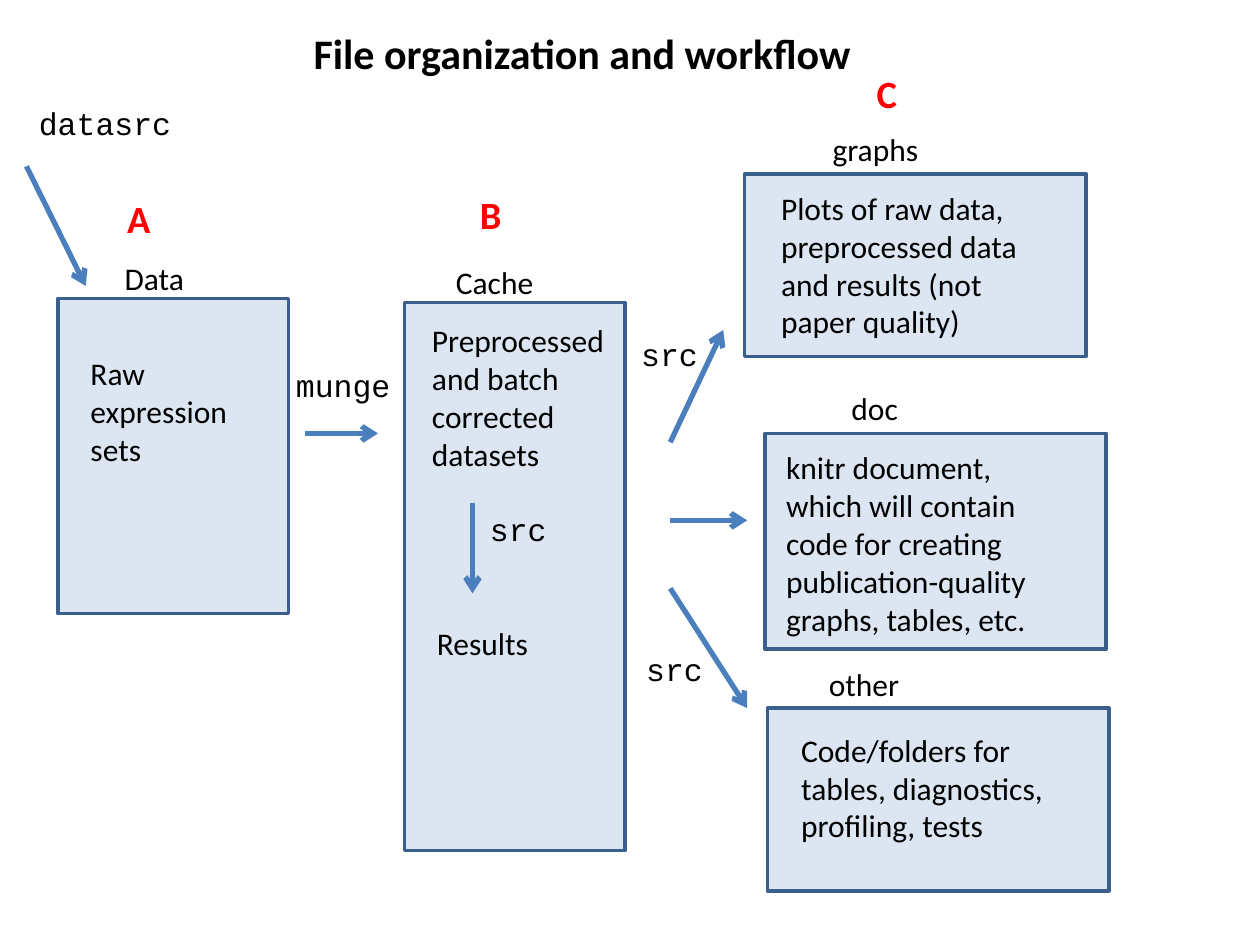
from dataclasses import dataclass
from typing import NamedTuple

from lxml import etree
from pptx import Presentation
from pptx import util as u
from pptx.dml.color import RGBColor
from pptx.enum import shapes, text
from pptx.oxml import ns


@dataclass(frozen=True)
class Theme:
    ink: RGBColor = RGBColor(0x00, 0x00, 0x00)
    marker: RGBColor = RGBColor(0xFF, 0x00, 0x00)
    folder_fill: RGBColor = RGBColor(0xDC, 0xE6, 0xF2)
    folder_edge: RGBColor = RGBColor(0x3A, 0x5F, 0x8C)
    arrow: RGBColor = RGBColor(0x4B, 0x7E, 0xBC)
    prose: str = "Calibri"
    code: str = "Courier New"
    body_size: int = 18
    marker_size: int = 22
    title_size: int = 24
    edge_width: int = 2
    arrow_width: int = 3


class Label(NamedTuple):
    words: str
    left: float
    top: float
    width: float = 1.5
    height: float = 0.4


class Folder(NamedTuple):
    left: float
    top: float
    width: float
    height: float
    name: Label
    contents: tuple[Label, ...]


class Flow(NamedTuple):
    x1: float
    y1: float
    x2: float
    y2: float


THEME = Theme()

FOLDERS = (
    Folder(0.46, 2.37, 1.83, 2.5, Label("Data", 0.89, 2.01),
           (Label("Raw expression sets", 0.62, 2.76, 1.5, 1.01),)),
    Folder(3.21, 2.4, 1.75, 4.35, Label("Cache", 3.52, 2.04),
           (Label("Preprocessed and batch corrected datasets", 3.33, 2.5, 1.62, 1.31),
            Label("Results", 3.37, 4.9))),
    Folder(5.91, 1.38, 2.71, 1.45, Label("graphs", 6.51, 0.98),
           (Label("Plots of raw data, preprocessed data and results (not paper quality)",
                  6.1, 1.45, 2.31, 1.31),)),
    Folder(6.07, 3.44, 2.71, 1.71, Label("doc", 6.66, 3.04),
           (Label("knitr document, which will contain code for creating "
                  "publication-quality graphs, tables, etc.", 6.14, 3.51, 2.31, 1.62),)),
    Folder(6.09, 5.62, 2.71, 1.45, Label("other", 6.48, 5.23),
           (Label("Code/folders for tables, diagnostics, profiling, tests",
                  6.26, 5.75, 2.31, 1.01),)),
)

FLOWS = (
    Flow(0.21, 1.32, 0.68, 2.27),
    Flow(2.42, 3.44, 3, 3.44),
    Flow(3.75, 3.99, 3.75, 4.71),
    Flow(5.32, 3.51, 5.74, 2.62),
    Flow(5.32, 4.13, 5.93, 4.13),
    Flow(5.32, 4.67, 5.93, 5.62),
)

SCRIPTS = (
    Label("datasrc", 0.21, 0.78, 1.91),
    Label("munge", 2.25, 2.86),
    Label("src", 3.79, 4),
    Label("src", 4.99, 2.61),
    Label("src", 5.03, 5.11),
)

STAGES = (
    Label("A", 0.91, 1.5, 0.75, 0.47),
    Label("B", 3.71, 1.47, 0.75, 0.47),
    Label("C", 6.86, 0.51, 0.75, 0.47),
)

TITLE = Label("File organization and workflow", 1.08, 0.17, 7.08, 0.5)


def write(slide, label: Label, *, font: str = THEME.prose, size: int = THEME.body_size,
          color: RGBColor = THEME.ink, bold: bool = False,
          align: text.PP_ALIGN = text.PP_ALIGN.LEFT) -> None:
    frame = slide.shapes.add_textbox(
        u.Inches(label.left), u.Inches(label.top),
        u.Inches(label.width), u.Inches(label.height)).text_frame
    frame.word_wrap = True
    frame.auto_size = text.MSO_AUTO_SIZE.SHAPE_TO_FIT_TEXT
    paragraph = frame.paragraphs[0]
    paragraph.alignment = align
    run = paragraph.add_run()
    run.text = label.words
    run.font.name = font
    run.font.size = u.Pt(size)
    run.font.bold = bold
    run.font.color.rgb = color


def draw_folder(slide, folder: Folder) -> None:
    box = slide.shapes.add_shape(
        shapes.MSO_SHAPE.RECTANGLE, u.Inches(folder.left), u.Inches(folder.top),
        u.Inches(folder.width), u.Inches(folder.height))
    box.shadow.inherit = False
    box.fill.solid()
    box.fill.fore_color.rgb = THEME.folder_fill
    box.line.color.rgb = THEME.folder_edge
    box.line.width = u.Pt(THEME.edge_width)
    for label in (folder.name, *folder.contents):
        write(slide, label)


def draw_flow(slide, flow: Flow) -> None:
    arrow = slide.shapes.add_connector(
        shapes.MSO_CONNECTOR.STRAIGHT, u.Inches(flow.x1), u.Inches(flow.y1),
        u.Inches(flow.x2), u.Inches(flow.y2))
    arrow.line.color.rgb = THEME.arrow
    arrow.line.width = u.Pt(THEME.arrow_width)
    etree.SubElement(arrow.line._get_or_add_ln(), ns.qn("a:tailEnd"), type="arrow")
    etree.SubElement(arrow._element.spPr, ns.qn("a:effectLst"))


def main() -> None:
    deck = Presentation()
    deck.slide_width = u.Inches(10)
    deck.slide_height = u.Inches(7.5)
    slide = deck.slides.add_slide(deck.slide_layouts[6])

    for folder in FOLDERS:
        draw_folder(slide, folder)
    for flow in FLOWS:
        draw_flow(slide, flow)
    for script in SCRIPTS:
        write(slide, script, font=THEME.code)
    for stage in STAGES:
        write(slide, stage, size=THEME.marker_size, color=THEME.marker, bold=True)
    write(slide, TITLE, size=THEME.title_size, bold=True, align=text.PP_ALIGN.CENTER)

    deck.save("out.pptx")


if __name__ == "__main__":
    main()
